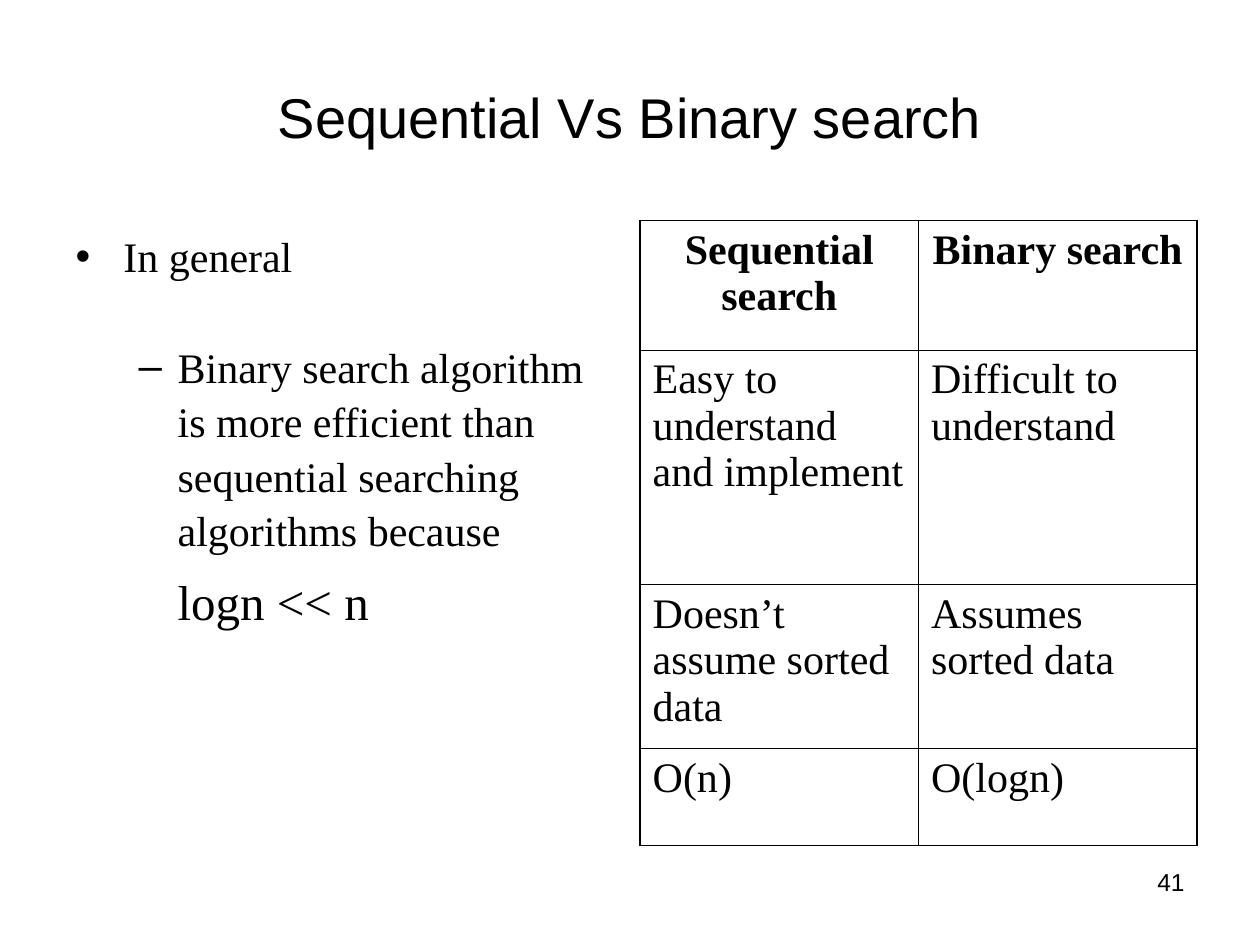
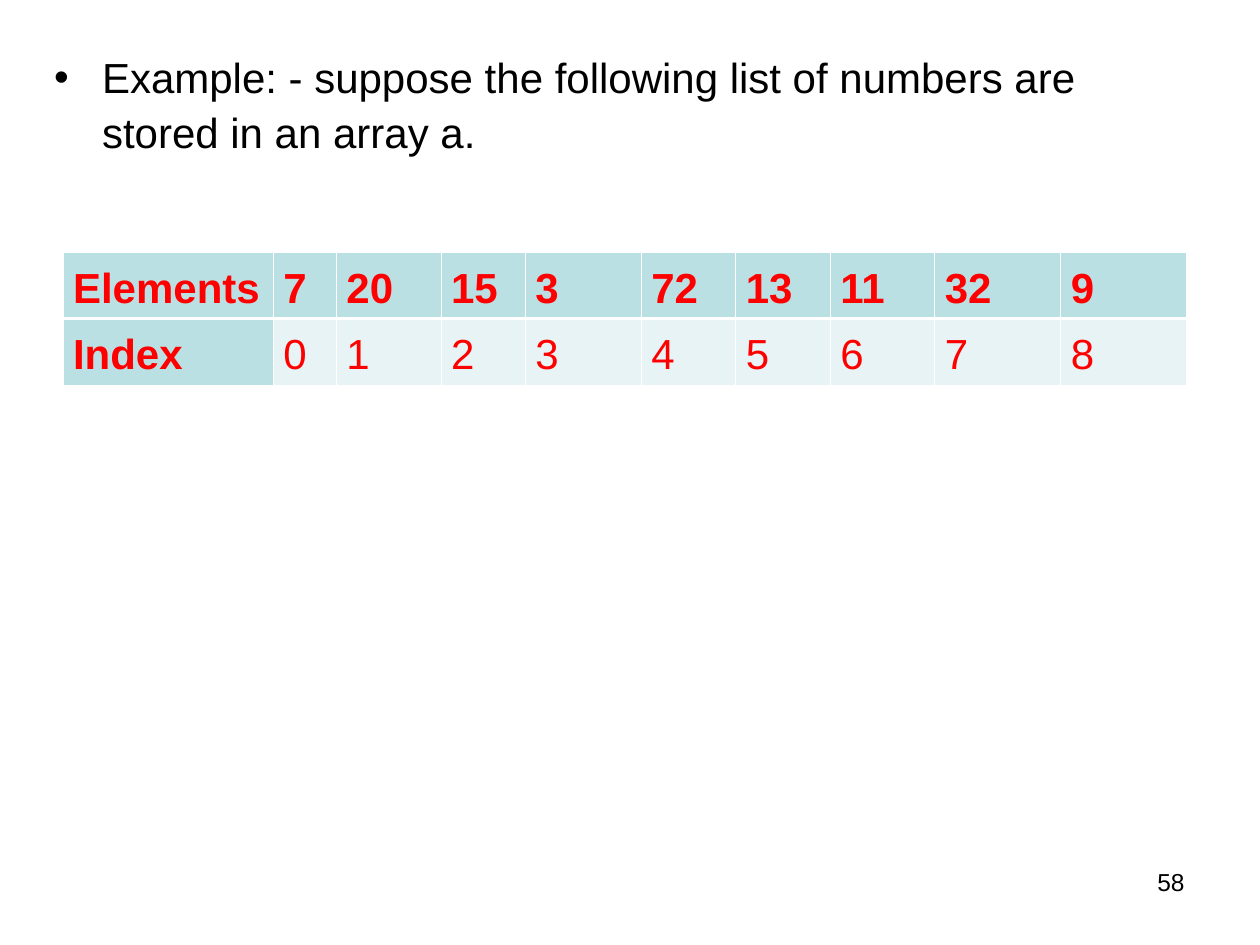
from lxml.etree import SubElement
from pptx import Presentation
from pptx.dml.color import RGBColor
from pptx.enum.text import MSO_ANCHOR, MSO_AUTO_SIZE, PP_ALIGN
from pptx.oxml import parse_xml
from pptx.oxml.ns import nsdecls, qn
from pptx.util import Inches, Pt

COLOURS = {"text": "000000", "accent": "FF0000", "rule": "000000", "gap": "FFFFFF",
           "header": "BBE0E3", "band": "E7F3F4"}
SANS, SERIF = "Arial", "Times New Roman"
TITLE_BOX = (0.5, 0.3, 9, 1.25)
NUMBER_BOX = (7.17, 6.83, 2.33, 0.52)
BODY_LINE_SPACING = 1.08

COMPARISON = [("Sequential search", "Binary search"),
              ("Easy to understand and implement", "Difficult to understand"),
              ("Doesn’t assume sorted data", "Assumes sorted data"),
              ("O(n)", "O(logn)")]
ELEMENTS = [7, 20, 15, 3, 72, 13, 11, 32, 9]


def style_paragraph(paragraph, font, size, colour="text", bold=False):
    """Format every run of a paragraph."""
    for run in paragraph.runs:
        run.font.name, run.font.size, run.font.bold = font, Pt(size), bold
        run.font.color.rgb = RGBColor.from_string(COLOURS[colour])


def place(shape, box):
    """Move a shape to a box of left, top, width and height in inches."""
    shape.left, shape.top, shape.width, shape.height = map(Inches, box)


def add_title(slide, text):
    """Fill the title placeholder."""
    title = slide.shapes.title
    place(title, TITLE_BOX)
    frame = title.text_frame
    frame.text = text
    frame.auto_size = MSO_AUTO_SIZE.NONE
    frame.vertical_anchor = MSO_ANCHOR.MIDDLE
    frame.paragraphs[0].alignment = PP_ALIGN.CENTER
    style_paragraph(frame.paragraphs[0], SANS, 32)


def add_page_number(slide, number):
    """Write the page number at the lower right."""
    frame = slide.shapes.add_textbox(*map(Inches, NUMBER_BOX)).text_frame
    frame.word_wrap = True
    frame.text = str(number)
    frame.paragraphs[0].alignment = PP_ALIGN.RIGHT
    style_paragraph(frame.paragraphs[0], SANS, 14)


def set_bullet(paragraph, mark, margin, hanging):
    """Give a paragraph its indents and its bullet, or none."""
    properties = paragraph._p.get_or_add_pPr()
    properties.set("marL", str(Inches(margin)))
    properties.set("indent", str(-Inches(hanging)))
    if mark:
        SubElement(properties, qn("a:buFont"), typeface=SANS)
        SubElement(properties, qn("a:buChar"), char=mark)
    else:
        SubElement(properties, qn("a:buNone"))


def add_list(slide, box, font, items):
    """Fill the body with (text, level, mark, margin, hanging, size, space before)."""
    body = slide.placeholders[1]
    place(body, box)
    frame = body.text_frame
    frame.text = "\n".join(item[0] for item in items)
    frame.auto_size = MSO_AUTO_SIZE.NONE
    for paragraph, item in zip(frame.paragraphs, items):
        _, level, mark, margin, hanging, size, before = item
        paragraph.level = level
        set_bullet(paragraph, mark, margin, hanging)
        paragraph.space_before = Pt(before)
        paragraph.line_spacing = BODY_LINE_SPACING
        style_paragraph(paragraph, font, size)


def set_borders(cell, widths, colour):
    """Draw the left, right, top and bottom borders of a cell."""
    properties = cell._tc.get_or_add_tcPr()
    for index, (side, width) in enumerate(zip("LRTB", widths)):
        properties.insert(index, parse_xml(
            f'<a:ln{side} {nsdecls("a")} w="{Pt(width)}"><a:solidFill>'
            f'<a:srgbClr val="{COLOURS[colour]}"/></a:solidFill></a:ln{side}>'))


def add_grid(slide, corner, column_widths, row_heights, rows, colour, outer, row_rule, inset):
    """Add a ruled table and yield each cell with its row and column."""
    size = (sum(column_widths), sum(row_heights))
    table = slide.shapes.add_table(len(rows), len(column_widths),
                                   *map(Inches, corner + size)).table
    table.first_row = table.horz_banding = False
    for column, width in zip(table.columns, column_widths):
        column.width = Inches(width)
    for row, height in zip(table.rows, row_heights):
        row.height = Inches(height)
    last_row, last_column = len(rows) - 1, len(column_widths) - 1
    for r, texts in enumerate(rows):
        for c, text in enumerate(texts):
            cell = table.cell(r, c)
            cell.text = str(text)
            cell.margin_left = cell.margin_right = Inches(inset)
            cell.margin_top = cell.margin_bottom = Inches(0.05)
            set_borders(cell, (outer if c == 0 else 0.45,
                               outer if c == last_column else 0.45,
                               outer if r == 0 else row_rule,
                               outer if r == last_row else row_rule), colour)
            yield cell, r, c


def add_comparison_table(slide, corner):
    """Compare the two searches in a plain ruled table."""
    grid = add_grid(slide, corner, [2.21] * 2, [1.03, 1.86, 1.3, 0.77], COMPARISON,
                    "rule", 1.08, 0.45, 0.1)
    for cell, r, _ in grid:
        cell.fill.background()
        paragraph = cell.text_frame.paragraphs[0]
        paragraph.alignment = PP_ALIGN.CENTER if r == 0 else PP_ALIGN.LEFT
        style_paragraph(paragraph, SERIF, 24, bold=r == 0)


def add_array_table(slide, corner):
    """Show the array elements above their indexes."""
    rows = [["Elements", *ELEMENTS], ["Index", *range(len(ELEMENTS))]]
    widths = [1.67, 0.5, 0.83, 0.67, 0.92, 0.75, 0.75, 0.83, 1, 1]
    for cell, r, c in add_grid(slide, corner, widths, [0.46] * 2, rows,
                               "gap", 0.45, 1.47, 0.08):
        heading = r == 0 or c == 0
        cell.fill.solid()
        cell.fill.fore_color.rgb = RGBColor.from_string(
            COLOURS["header" if heading else "band"])
        paragraph = cell.text_frame.paragraphs[0]
        paragraph.line_spacing = 1.15
        paragraph.space_after = Pt(10)
        style_paragraph(paragraph, SANS, 24, "accent", heading)


def build_comparison_slide(slide):
    """Set out sequential search against binary search."""
    add_title(slide, "Sequential Vs Binary search")
    add_list(slide, (0.5, 1.75, 4.42, 4.95), SERIF, [
        ("In general", 0, "•", 0.38, 0.38, 24, 0),
        ("Binary search algorithm is more efficient than sequential searching "
         "algorithms because", 1, "–", 0.81, 0.31, 24, 32),
        ("logn << n", 1, None, 0.81, 0, 28, 7)])
    add_comparison_table(slide, (5.08, 1.75))
    add_page_number(slide, 41)


def build_array_slide(slide):
    """Show the example array."""
    title = slide.shapes.title.element
    title.getparent().remove(title)
    add_list(slide, (0.33, 0.33, 9, 4.95), SANS, [
        ("Example: - suppose the following list of numbers are stored in an array a.",
         0, "•", 0.38, 0.38, 24, 0)])
    add_array_table(slide, (0.5, 2))
    add_page_number(slide, 58)


def main():
    """Build and save the presentation."""
    presentation = Presentation()
    presentation.slide_width, presentation.slide_height = Inches(10), Inches(7.5)
    for build in (build_comparison_slide, build_array_slide):
        build(presentation.slides.add_slide(presentation.slide_layouts[1]))
    presentation.save("out.pptx")


if __name__ == "__main__":
    main()
